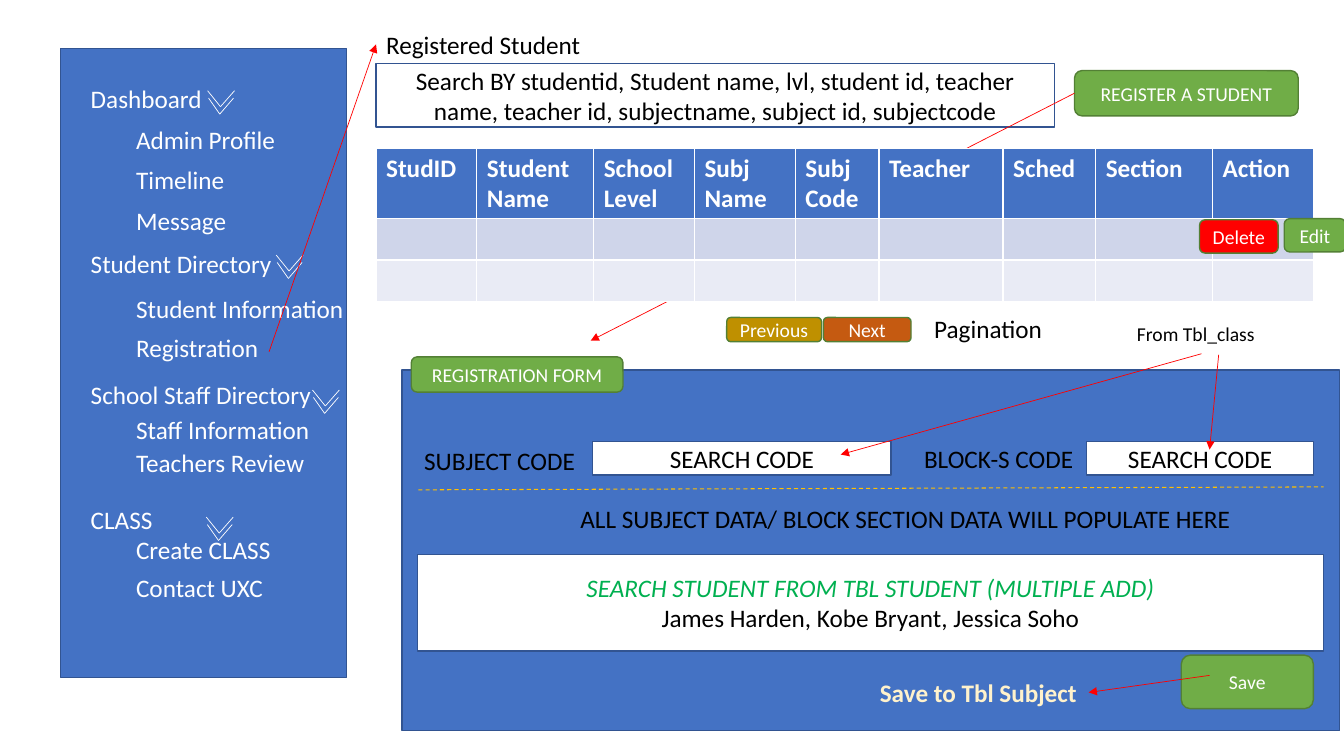
"""Build the student registration wireframe slide."""
from dataclasses import dataclass

import pptx
import pptx.util
import pptx.dml.color
import pptx.enum.dml
import pptx.enum.shapes
import pptx.enum.text
import pptx.oxml
import pptx.oxml.ns
from lxml import etree

Pt = pptx.util.Pt
RGB = pptx.dml.color.RGBColor.from_string
qn = pptx.oxml.ns.qn
SHAPE = pptx.enum.shapes.MSO_SHAPE
ALIGN = pptx.enum.text.PP_ALIGN
ANCHOR = pptx.enum.text.MSO_ANCHOR
AUTO = pptx.enum.text.MSO_AUTO_SIZE


@dataclass(frozen=True)
class Theme:
    """Colours, font and type sizes."""
    font: str = "Calibri"
    body: int = 18
    small: int = 14
    blue: str = "4472C4"
    blue_line: str = "325491"
    green: str = "70AD47"
    green_line: str = "538035"
    green_text: str = "00B050"
    gold: str = "BF9000"
    orange: str = "C55A11"
    red: str = "FF0000"
    dash: str = "FFC000"
    cream: str = "FFF2CC"
    white: str = "FFFFFF"
    black: str = "000000"
    bands: tuple = ("CFD5EA", "E9EBF5")


T = Theme()

TITLE = ("Registered Student", (268.6, 17.3, 154.8, 28.8))
SIDEBAR = (43.2, 34.6, 204.5, 449.3)
MENU = [  # 
    ("Dashboard", 0, 0), ("Admin Profile", 1, 7.5), ("Timeline", 1, 7),
    ("Message", 1, 7.5), ("Student Directory", 0, 9),
    ("Student Information", 1, 10.4), ("Registration", 1, 6.8),
    ("School Staff Directory", 0, 11.8), ("Staff Information", 1, 3.2),
    ("Teachers Review", 1, 1.8), ("CLASS", 0, 19), ("Create CLASS", 1, 0),
    ("Contact UXC", 1, 5.4),
]
CHEVRONS = [(148.3, 64.8), (197.3, 182.2), (223.2, 278.6), (147.4, 369.4)]
CHEVRON_ARMS = [((0, 0), (9.2, 11.4), (19.2, 0)),
                ((0.7, 5.3), (8.7, 16.7), (18.5, 5.3))]

PANELS = [
    ((287.3, 264.2, 669.6, 257.8), T.blue, []),
    ((423.4, 315.4, 213.1, 23.8), T.white, ["SEARCH CODE"]),
    ((268.6, 45.4, 484.6, 45.4), T.white,
     ["Search BY studentid, Student name, lvl, student id, teacher name, "
      "teacher id, subjectname, subject id, subjectcode"]),
    ((776.2, 315.4, 162, 23.8), T.white, ["SEARCH CODE"]),
    ((298.1, 396, 647.3, 69.1), T.white,
     ["SEARCH STUDENT FROM TBL STUDENT (MULTIPLE ADD)",
      "James Harden, Kobe Bryant, Jessica Soho"]),
]
BUTTONS = [
    ("Previous", (519.1, 226.8, 67.7, 17.3), T.gold),
    ("Next", (588.2, 226.8, 62.6, 17.3), T.orange),
    ("REGISTER A STUDENT", (767.5, 50.4, 159.8, 32.4), T.green),
    ("REGISTRATION FORM", (293.8, 254.9, 151.2, 25.2), T.green),
    ("Save", (843.8, 468, 94.3, 38.2), T.green),
]
ROW_BUTTONS = [
    ("Edit", (917.3, 156.2, 43.9, 23.8), T.green),
    ("Delete", (856.8, 157, 56.2, 23.8), T.red),
]
LABELS = [
    ("SUBJECT CODE", (295.9, 314.6, 123.1, 28.8), {}),
    ("Pagination", (660.2, 220.3, 92.2, 28.8), {}),
    ("Save to Tbl Subject", (621.4, 480.2, 156.2, 28.8),
     {"color": T.cream, "bold": True}),
    ("ALL SUBJECT DATA/ BLOCK SECTION DATA WILL POPULATE HERE",
     (407.5, 355.7, 483.1, 28.8), {}),
    ("BLOCK-S CODE", (653, 313.2, 122.4, 28.8), {}),
    ("From Tbl_class", (805, 226.1, 99.4, 24.5), {"size": T.small}),
]
DIVIDER = ((298.8, 349.9), (945.4, 347.8))
CLASS_ARROWS = [((858.2, 252.7), (600.5, 324.7)), ((870.5, 253.4), (864, 321.1))]

TABLE_AT = (268.6, 105.8)
COLUMNS = [
    (["StudID"], 72), (["Student", "Name"], 83.5), (["School", "Level"], 72),
    (["Subj", "Name"], 72), (["Subj", "Code"], 59.8), (["Teacher"], 88.6),
    (["Sched"], 66.2), (["Section"], 83.5), (["Action"], 72),
]
ROWS = [50, 29.5, 29.5]


def place(sp, box):
    """Move and size a shape in points."""
    for name, value in zip(("left", "top", "width", "height"), box):
        setattr(sp, name, Pt(value))


def paint(sp, fill, line):
    """Give a shape a solid fill and a one point outline."""
    sp.shadow.inherit = False
    sp.fill.solid()
    sp.fill.fore_color.rgb = RGB(fill)
    sp.line.color.rgb = RGB(line)
    sp.line.width = Pt(1)


def write(tf, lines, color=T.black, size=T.body, align=ALIGN.LEFT, **styles):
    """Write lines as paragraphs and return these."""
    for i, line in enumerate(lines):
        p = tf.add_paragraph() if i else tf.paragraphs[0]
        p.alignment = align
        r = p.add_run()
        r.text = line
        for name, value in {"name": T.font, "size": Pt(size), **styles}.items():
            setattr(r.font, name, value)
        r.font.color.rgb = RGB(color)
    return tf.paragraphs


def add_box(s, kind, box, fill, line, lines, **styles):
    """Add a painted shape with centred text."""
    sp = s.shapes.add_shape(kind, *map(Pt, box))
    paint(sp, fill, line)
    sp.text_frame.word_wrap = True
    sp.text_frame.vertical_anchor = ANCHOR.MIDDLE
    write(sp.text_frame, lines, align=ALIGN.CENTER, **styles)
    return sp


def add_button(s, text, box, fill):
    """Add a rounded button."""
    return add_box(s, SHAPE.ROUNDED_RECTANGLE, box, fill, T.green_line, [text],
                   color=T.white, size=T.small)


def add_label(s, text, box, styles):
    """Add a one-line text box."""
    sp = s.shapes.add_textbox(*map(Pt, box))
    sp.text_frame.word_wrap = False
    write(sp.text_frame, [text], **styles)
    return sp


def add_line(s, start, end, color, width=0.5, arrow=False):
    """Add a straight connector, with an optional arrowhead."""
    c = s.shapes.add_connector(pptx.enum.shapes.MSO_CONNECTOR.STRAIGHT,
                               *map(Pt, (*start, *end)))
    c.line.color.rgb = RGB(color)
    c.line.width = Pt(width)
    pr = c.element.spPr
    if arrow:
        etree.SubElement(pr.find(qn("a:ln")), qn("a:tailEnd"), type="triangle")
    etree.SubElement(pr, qn("a:effectLst"))
    return c


def add_menu(sp):
    """Turn the body placeholder into the sidebar menu."""
    place(sp, SIDEBAR)
    paint(sp, T.blue, T.blue_line)
    tf = sp.text_frame
    for name, value in {"margin_left": Pt(21.6), "margin_top": Pt(25.2),
                        "margin_right": 0, "word_wrap": True,
                        "auto_size": AUTO.NONE,
                        "vertical_anchor": ANCHOR.TOP}.items():
        setattr(tf, name, value)
    paragraphs = write(tf, [item[0] for item in MENU], color=T.white)
    for p, (_, level, gap) in zip(paragraphs, MENU):
        for name, value in {"level": level, "line_spacing": 1.0,
                            "space_before": Pt(gap), "space_after": Pt(0)}.items():
            setattr(p, name, value)
        pr = p._p.get_or_add_pPr()
        pr.set("marL", str(Pt(32.4 * level)))
        pr.set("indent", "0")
        etree.SubElement(pr, qn("a:buNone"))


def add_students(s):
    """Add the student table."""
    widths = [width for _, width in COLUMNS]
    table = s.shapes.add_table(len(ROWS), len(COLUMNS), *map(
        Pt, (*TABLE_AT, sum(widths), sum(ROWS)))).table
    for row, height, fill in zip(table.rows, ROWS, (T.blue, *T.bands)):
        row.height = Pt(height)
        for cell in row.cells:
            cell.fill.solid()
            cell.fill.fore_color.rgb = RGB(fill)
    for i, (heading, width) in enumerate(COLUMNS):
        table.columns[i].width = Pt(width)
        write(table.cell(0, i).text_frame, heading, color=T.white, bold=True)


def main():
    """Build and save the slide."""
    prs = pptx.Presentation()
    prs.slide_width, prs.slide_height = Pt(960), Pt(540)
    s = prs.slides.add_slide(prs.slide_layouts[1])
    title = s.shapes.title
    place(title, TITLE[1])
    title.text_frame.word_wrap = False
    title.text_frame.auto_size = AUTO.NONE
    title.text_frame.vertical_anchor = ANCHOR.MIDDLE
    write(title.text_frame, [TITLE[0]])
    add_menu(s.placeholders[1])
    for x, y in CHEVRONS:
        for arms in CHEVRON_ARMS:
            points = [(x + dx, y + dy) for dx, dy in arms]
            for start, end in zip(points, points[1:]):
                add_line(s, start, end, T.white)

    panels = [add_box(s, SHAPE.RECTANGLE, box, fill, T.blue_line, lines)
              for box, fill, lines in PANELS]
    prompt = panels[-1].text_frame.paragraphs[0].runs[0].font
    prompt.italic = True
    prompt.color.rgb = RGB(T.green_text)
    buttons = {item[0]: add_button(s, *item) for item in BUTTONS}
    labels = {item[0]: add_label(s, *item) for item in LABELS}

    divider = add_line(s, *DIVIDER, T.dash, 0.75)
    divider.line.dash_style = pptx.enum.dml.MSO_LINE.DASH
    register = add_line(s, (767.5, 66.6), (421.9, 243.4), T.red, arrow=True)
    register.begin_connect(buttons["REGISTER A STUDENT"], 1)
    registration = add_line(s, (192.2, 251.3), (268.6, 31.7), T.red, arrow=True)
    registration.end_connect(title, 1)
    save = add_line(s, (864, 482.4), (777.6, 494.6), T.red, arrow=True)
    save.end_connect(labels["Save to Tbl Subject"], 3)
    for start, end in CLASS_ARROWS:
        add_line(s, start, end, T.red, arrow=True)

    add_students(s)
    for item in ROW_BUTTONS:
        add_button(s, *item)
    prs.save("out.pptx")


if __name__ == "__main__":
    main()
